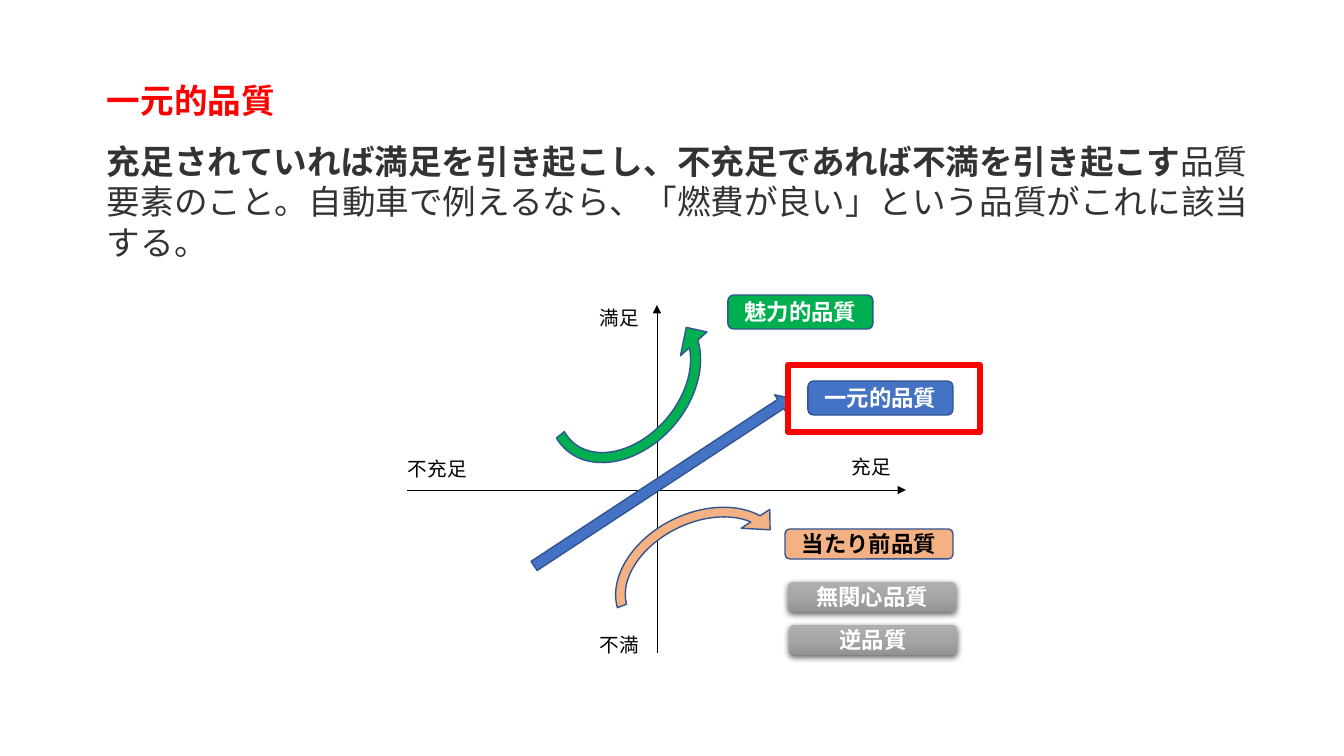
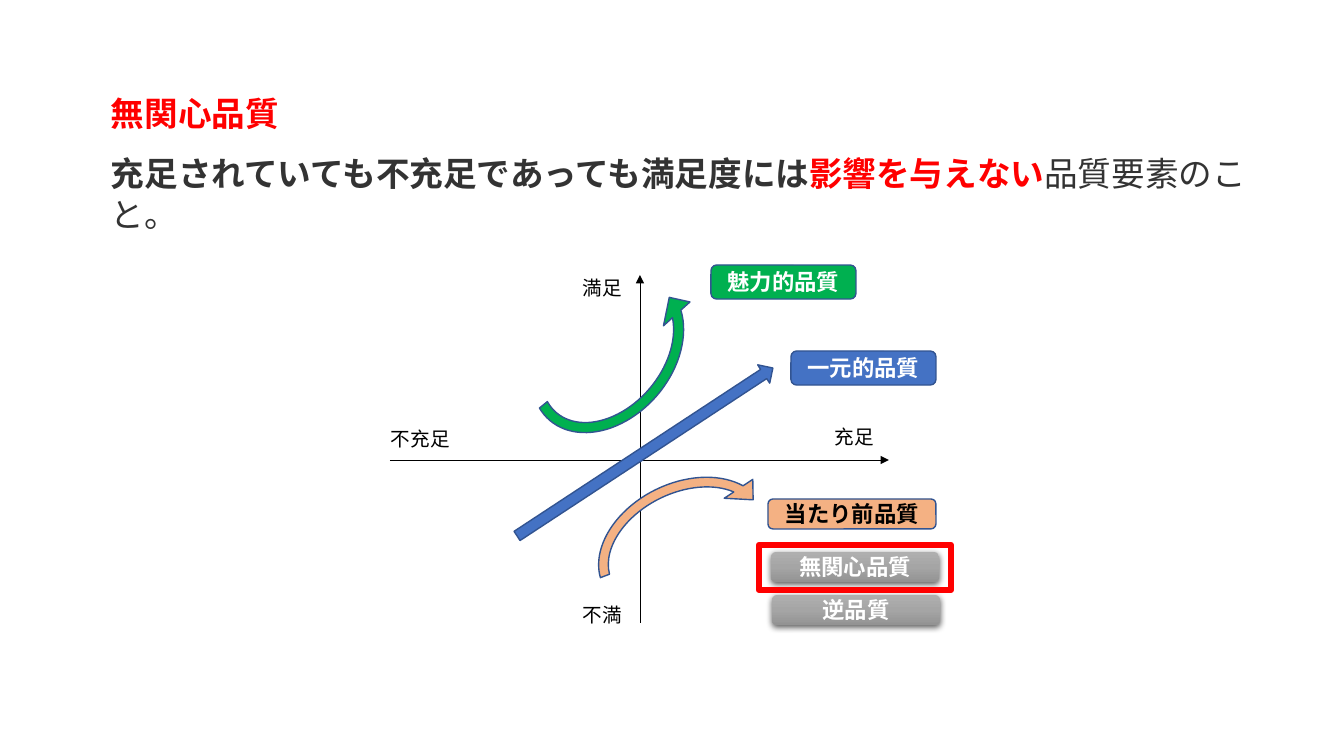
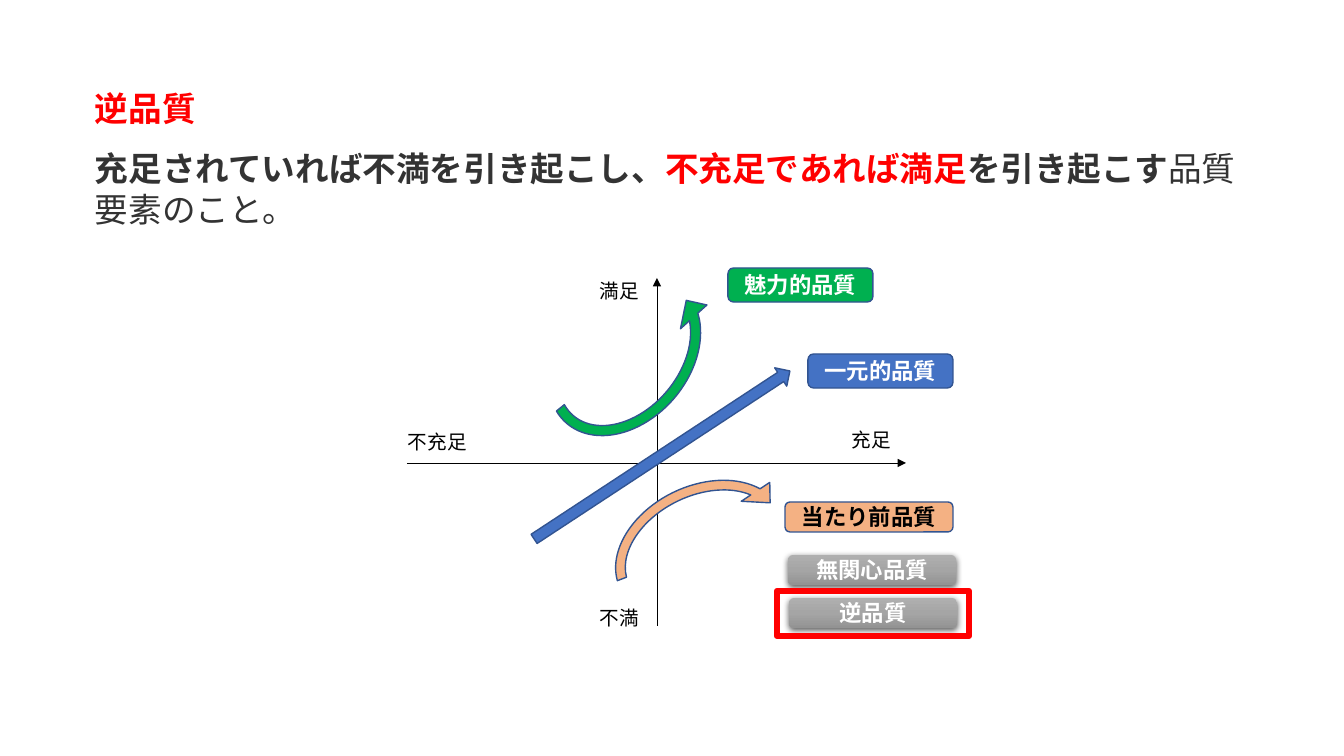
from dataclasses import dataclass

from lxml.etree import SubElement
from pptx import Presentation
from pptx.dml.color import RGBColor
from pptx.enum.shapes import MSO_CONNECTOR, MSO_SHAPE
from pptx.enum.text import MSO_ANCHOR, PP_ALIGN
from pptx.oxml.ns import qn
from pptx.util import Pt

PX = 914400 / 100.8  # EMU in one px


@dataclass(frozen=True)
class Theme:
    font: str = "Noto Sans CJK JP"
    body_font: str = "Roboto"
    red: str = "FF0000"
    ink: str = "333333"
    black: str = "000000"
    white: str = "FFFFFF"
    blue: str = "4472C4"
    green: str = "00B050"
    orange: str = "F4B183"
    outline: str = "325491"
    greys: tuple = ((0, "AFAFAF"), (50, "A5A5A5"), (100, "939393"))
    text_size: int = 24
    line_pitch: int = 29
    title_gap: int = 14
    axis_size: int = 14
    tag_size: int = 16


T = Theme()

# Text, diagram origin and highlight frame (relative to the origin) of each slide
SLIDES = [
    dict(
        text_box=(97, 75, 1167, 194), title="一元的品質",
        body=[("充足されていれば満足を引き起こし、不充足であれば不満を引き起こす", T.ink, True),
              ("品質要素のこと。自動車で例えるなら、「燃費が良い」という品質がこれに該当する。", T.ink, False)],
        origin=(398, 295), frame=(390, 70, 192, 67)),
    dict(
        text_box=(101, 88, 1164, 152), title="無関心品質",
        body=[("充足されていても不充足であっても満足度には", T.ink, True),
              ("影響を与えない", T.red, True),
              ("品質要素のこと。", T.ink, False)],
        origin=(381, 265), frame=(378, 280, 192, 45)),
    dict(
        text_box=(85, 83, 1192, 152), title="逆品質",
        body=[("充足されていれば不満を引き起こし、", T.ink, True),
              ("不充足であれば満足", T.red, True),
              ("を引き起こす", T.ink, True),
              ("品質要素のこと。", T.ink, False)],
        origin=(398, 268), frame=(379, 323, 192, 45)),
]

# Diagram parts, relative to its origin
AXES = [(9, 195, 508, 195), (259, 358, 259, 10)]
ARROWS = [
    (MSO_SHAPE.RIGHT_ARROW, (111, 176, 306, 22), 326.7, False, T.blue, ()),
    (MSO_SHAPE.CIRCULAR_ARROW, (125, 10, 203, 156), 310.6, True, T.green,
     (0.065, 7.52, 204.02, 101.77, 0.114)),
    (MSO_SHAPE.CIRCULAR_ARROW, (201, 206, 203, 150), 333.9, False, T.orange,
     (0.065, 7.52, 204.02, 111.12, 0.114)),
]
AXIS_LABELS = [
    ("満足", (192, 6, 71, 34)),
    ("不満", (192, 333, 71, 34)),
    ("不充足", (0, 157, 85, 34)),
    ("充足", (444, 155, 71, 34)),
]
TAGS = [  # no fill colour means the grey gradient
    ("一元的品質", (410, 86, 145, 34), T.blue, T.white),
    ("当たり前品質", (387, 234, 168, 30), T.orange, T.black),
    ("魅力的品質", (330, 0, 145, 34), T.green, T.white),
    ("無関心品質", (390, 287, 168, 30), None, T.white),
    ("逆品質", (391, 330, 168, 30), None, T.white),
]


def emu(*lengths):
    return [round(v * PX) for v in lengths]


def placed(origin, box):
    x, y, w, h = box
    return emu(origin[0] + x, origin[1] + y, w, h)


def rgb(code):
    return RGBColor.from_string(code)


def style_paragraph(p, size, color=None, bold=False, name=T.font):
    p.font.size = Pt(size)
    p.font.bold = bold
    p.font.name = name
    if color:
        p.font.color.rgb = rgb(color)
    SubElement(p.font._element, qn("a:ea"), typeface=T.font)


def add_outlined(slide, kind, box, fill, line, width):
    s = slide.shapes.add_shape(kind, *box)
    s.shadow.inherit = False
    if fill:
        s.fill.solid()
        s.fill.fore_color.rgb = rgb(fill)
    else:
        s.fill.background()
    if line:
        s.line.color.rgb = rgb(line)
        s.line.width = Pt(width)
    else:
        s.line.fill.background()
    return s


def make_raised(s):
    """Grey vertical gradient with a soft shadow below."""
    s.fill.gradient()
    s.fill.gradient_angle = 270
    spPr = s._element.spPr
    stops = spPr.find(qn("a:gradFill")).find(qn("a:gsLst"))
    for old in list(stops):
        stops.remove(old)
    for pos, color in T.greys:
        gs = SubElement(stops, qn("a:gs"), pos=str(pos * 1000))
        SubElement(gs, qn("a:srgbClr"), val=color)
    shadow = SubElement(spPr.find(qn("a:effectLst")), qn("a:outerShdw"),
                        blurRad=str(Pt(4.5)), dist=str(Pt(1.5)),
                        dir="5400000", algn="ctr", rotWithShape="0")
    color = SubElement(shadow, qn("a:srgbClr"), val=T.black)
    SubElement(color, qn("a:alpha"), val="63000")


def add_definition(slide, box, title, body):
    tf = slide.shapes.add_textbox(*emu(*box)).text_frame
    tf.word_wrap = True
    # Title
    p = tf.paragraphs[0]
    p.text = title
    p.line_spacing = Pt(T.line_pitch)
    style_paragraph(p, T.text_size, T.red, True)
    # Explanation
    p = tf.add_paragraph()
    p.line_spacing = Pt(T.line_pitch)
    p.space_before = Pt(T.title_gap)
    style_paragraph(p, T.text_size, name=T.body_font)
    for text, color, bold in body:
        r = p.add_run()
        r.text = text
        r.font.bold = bold
        r.font.color.rgb = rgb(color)


def add_axis(slide, origin, ends):
    x, y = origin
    x1, y1, x2, y2 = ends
    c = slide.shapes.add_connector(MSO_CONNECTOR.STRAIGHT,
                                   *emu(x + x1, y + y1, x + x2, y + y2))
    c.line.color.rgb = rgb(T.black)
    c.line.width = Pt(0.5)
    SubElement(c.line._get_or_add_ln(), qn("a:tailEnd"), type="triangle")
    SubElement(c._element.spPr, qn("a:effectLst"))


def add_arrow(slide, origin, kind, box, rotation, flipped, fill, adjustments):
    s = add_outlined(slide, kind, placed(origin, box), fill, T.outline, 1)
    s.rotation = rotation
    if flipped:
        s._element.spPr.xfrm.set("flipV", "1")
    for i, value in enumerate(adjustments):
        s.adjustments[i] = value


def add_axis_label(slide, origin, text, box):
    tf = slide.shapes.add_textbox(*placed(origin, box)).text_frame
    tf.word_wrap = True
    tf.vertical_anchor = MSO_ANCHOR.MIDDLE
    tf.margin_top = tf.margin_bottom = 0
    p = tf.paragraphs[0]
    p.text = text
    style_paragraph(p, T.axis_size, T.black)


def add_tag(slide, origin, text, box, fill, color):
    s = add_outlined(slide, MSO_SHAPE.ROUNDED_RECTANGLE, placed(origin, box),
                     fill, T.outline if fill else None, 1)
    if not fill:
        make_raised(s)
    tf = s.text_frame
    tf.word_wrap = True
    tf.vertical_anchor = MSO_ANCHOR.MIDDLE
    tf.margin_top = tf.margin_bottom = 0
    p = tf.paragraphs[0]
    p.text = text
    p.alignment = PP_ALIGN.CENTER
    style_paragraph(p, T.tag_size, color, True)


def add_quality_diagram(slide, origin, frame):
    for ends in AXES:
        add_axis(slide, origin, ends)
    for arrow in ARROWS:
        add_arrow(slide, origin, *arrow)
    for label in AXIS_LABELS:
        add_axis_label(slide, origin, *label)
    for tag in TAGS:
        add_tag(slide, origin, *tag)
    # Highlight around the current quality
    add_outlined(slide, MSO_SHAPE.RECTANGLE, placed(origin, frame), None, T.red, 4.5)


def main():
    prs = Presentation()
    prs.slide_width, prs.slide_height = emu(1344, 756)
    for content in SLIDES:
        slide = prs.slides.add_slide(prs.slide_layouts[6])
        add_definition(slide, content["text_box"], content["title"], content["body"])
        add_quality_diagram(slide, content["origin"], content["frame"])
    prs.save("out.pptx")


if __name__ == "__main__":
    main()
